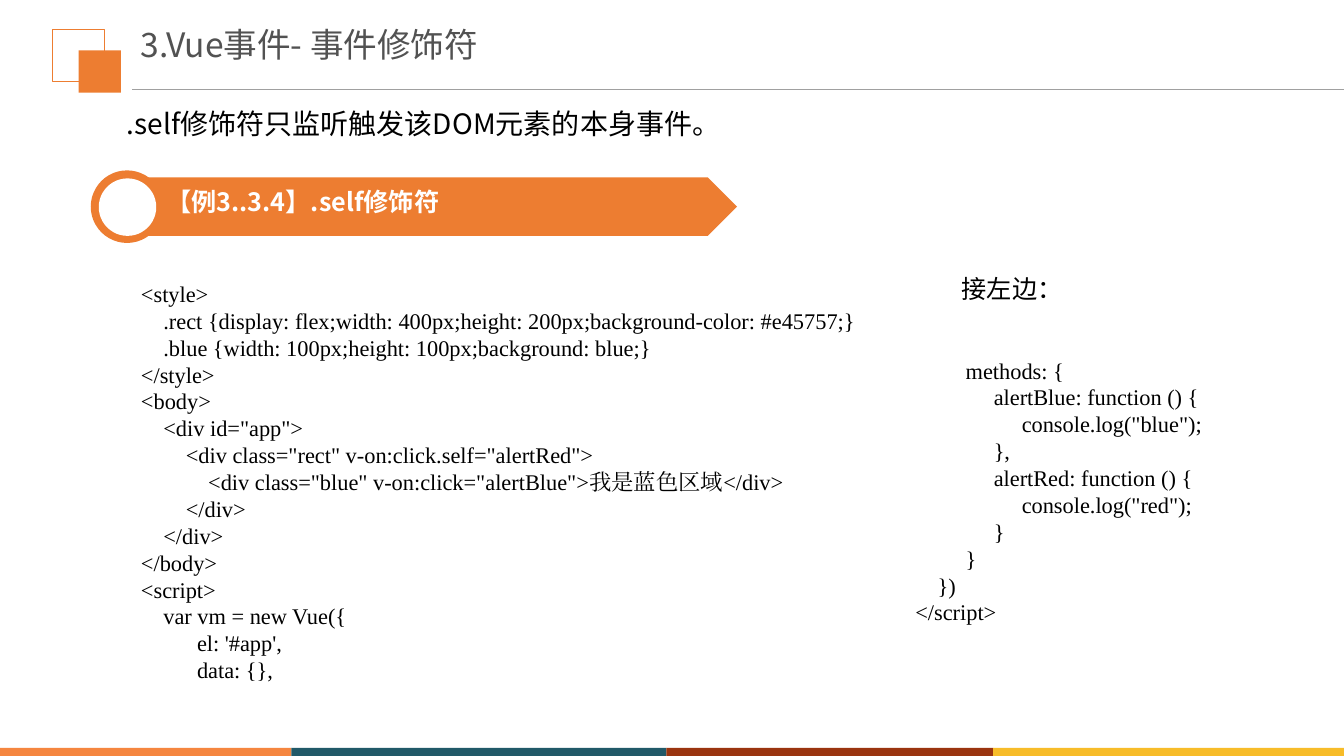
import pptx
import pptx.util
import pptx.dml.color
import pptx.enum.shapes
import pptx.oxml.ns
from lxml import etree

Inches, Pt = pptx.util.Inches, pptx.util.Pt
SHAPE = pptx.enum.shapes.MSO_SHAPE

# Content
SANS, SERIF = "Noto Sans CJK SC", "Times New Roman"
ORANGE, WHITE, BLACK, GREY = "ED7D31", "FFFFFF", "000000", "525252"
RULE_GREY = "A0A0A0"

# text, left, top, width, height, size, font, colour, bold
LABELS = [
    ("3.Vue事件- 事件修饰符", 1.3, 0.23, 5.29, 0.58, 24, SANS, GREY, False),
    (".self修饰符只监听触发该DOM元素的本身事件。", 1.16, 1.01, 11.03, 0.44, 20, SANS, BLACK, False),
    ("【例3..3.4】.self修饰符", 1.55, 1.8, 4.27, 0.4, 18, SANS, WHITE, True),
    ("接左边：", 9.44, 2.66, 2.46, 0.4, 18, "Arial", BLACK, False),
]

# Code lines: indent in characters, text
LEFT_CODE = [
    (0, "<style>"),
    (4, ".rect {display: flex;width: 400px;height: 200px;background-color: #e45757;}"),
    (4, ".blue {width: 100px;height: 100px;background: blue;}"),
    (0, "</style>"),
    (0, "<body>"),
    (4, '<div id="app">'),
    (8, '<div class="rect" v-on:click.self="alertRed">'),
    (12, '<div class="blue" v-on:click="alertBlue">我是蓝色区域</div>'),
    (8, "</div>"),
    (4, "</div>"),
    (0, "</body>"),
    (0, "<script>"),
    (4, "var vm = new Vue({"),
    (10, "el: '#app',"),
    (10, "data: {},"),
]
RIGHT_CODE = [
    (9, "methods: {"),
    (14, "alertBlue: function () {"),
    (19, 'console.log("blue");'),
    (14, "},"),
    (14, "alertRed: function () {"),
    (19, 'console.log("red");'),
    (14, "}"),
    (9, "}"),
    (4, "})"),
    (0, "</script>"),
]
CODE_SIZE = 16
INDENT = CODE_SIZE / 4  # width of one space, in points

# Footer: left edge and colour of each strip
SLIDE_W, SLIDE_H, FOOTER_TOP = 13.33, 7.5, 7.42
STRIPS = [(0, "F5863F"), (2.89, "215968"), (6.61, "9A340F"), (9.85, "F7BC29")]

prs = pptx.Presentation()
prs.slide_width, prs.slide_height = Inches(SLIDE_W), Inches(SLIDE_H)
s = prs.slides.add_slide(prs.slide_layouts[6])


def rgb(value):
    return pptx.dml.color.RGBColor.from_string(value)


def add_shape(kind, left, top, width, height, fill=None, line=None):
    sp = s.shapes.add_shape(kind, *map(Inches, (left, top, width, height)))
    sp.shadow.inherit = False
    if fill:
        sp.fill.solid()
        sp.fill.fore_color.rgb = rgb(fill)
    else:
        sp.fill.background()
    if line:
        sp.line.color.rgb = rgb(line)
        sp.line.width = Pt(0.75)
    else:
        sp.line.fill.background()
    return sp


def add_text(lines, left, top, width, height, size, font, colour, bold=False):
    tf = s.shapes.add_textbox(*map(Inches, (left, top, width, height))).text_frame
    tf.word_wrap = True
    tf.text = "\n".join(text for _, text in lines)
    for p, (indent, _) in zip(tf.paragraphs, lines):
        if indent:
            p._p.get_or_add_pPr().set("marL", str(Pt(indent * INDENT)))
        for r in p.runs:
            r.font.size, r.font.bold, r.font.name = Pt(size), bold, font
            r.font.color.rgb = rgb(colour)
            ea = etree.SubElement(r._r.get_or_add_rPr(), pptx.oxml.ns.qn("a:ea"))
            ea.set("typeface", font)
    return tf


# Header mark and rule
add_shape(SHAPE.RECTANGLE, 0.52, 0.29, 0.52, 0.52, line=ORANGE)
add_shape(SHAPE.RECTANGLE, 0.78, 0.5, 0.42, 0.42, ORANGE)
rule = s.shapes.add_connector(pptx.enum.shapes.MSO_CONNECTOR.STRAIGHT,
                              Inches(1.31), Inches(0.89), Inches(SLIDE_W), Inches(0.89))
rule.line.color.rgb = rgb(RULE_GREY)
rule.line.width = Pt(0.75)
etree.SubElement(rule._element.spPr, pptx.oxml.ns.qn("a:effectLst"))

# Footer strips, each reaching to the next
ends = [left for left, _ in STRIPS[1:]] + [SLIDE_W]
for (left, colour), end in zip(STRIPS, ends):
    add_shape(SHAPE.RECTANGLE, left, FOOTER_TOP, end - left, SLIDE_H - FOOTER_TOP, colour)

# Example banner
add_shape(SHAPE.PENTAGON, 1.3, 1.76, 6.01, 0.58, ORANGE)
add_shape(SHAPE.OVAL, 0.9, 1.69, 0.72, 0.72, ORANGE)
add_shape(SHAPE.OVAL, 0.98, 1.77, 0.57, 0.57, WHITE)

# Title, sentence, banner label and note
for text, *place_and_style in LABELS:
    tf = add_text([(0, text)], *place_and_style)
    if text == LABELS[0][0]:
        tf.paragraphs[0].line_spacing = 0.9

# Code columns
add_text(LEFT_CODE, 1.3, 2.73, 7.45, 4.14, CODE_SIZE, SERIF, BLACK)
add_text(RIGHT_CODE, 8.98, 3.49, 3.78, 3.1, CODE_SIZE, SERIF, BLACK)

prs.save("out.pptx")
